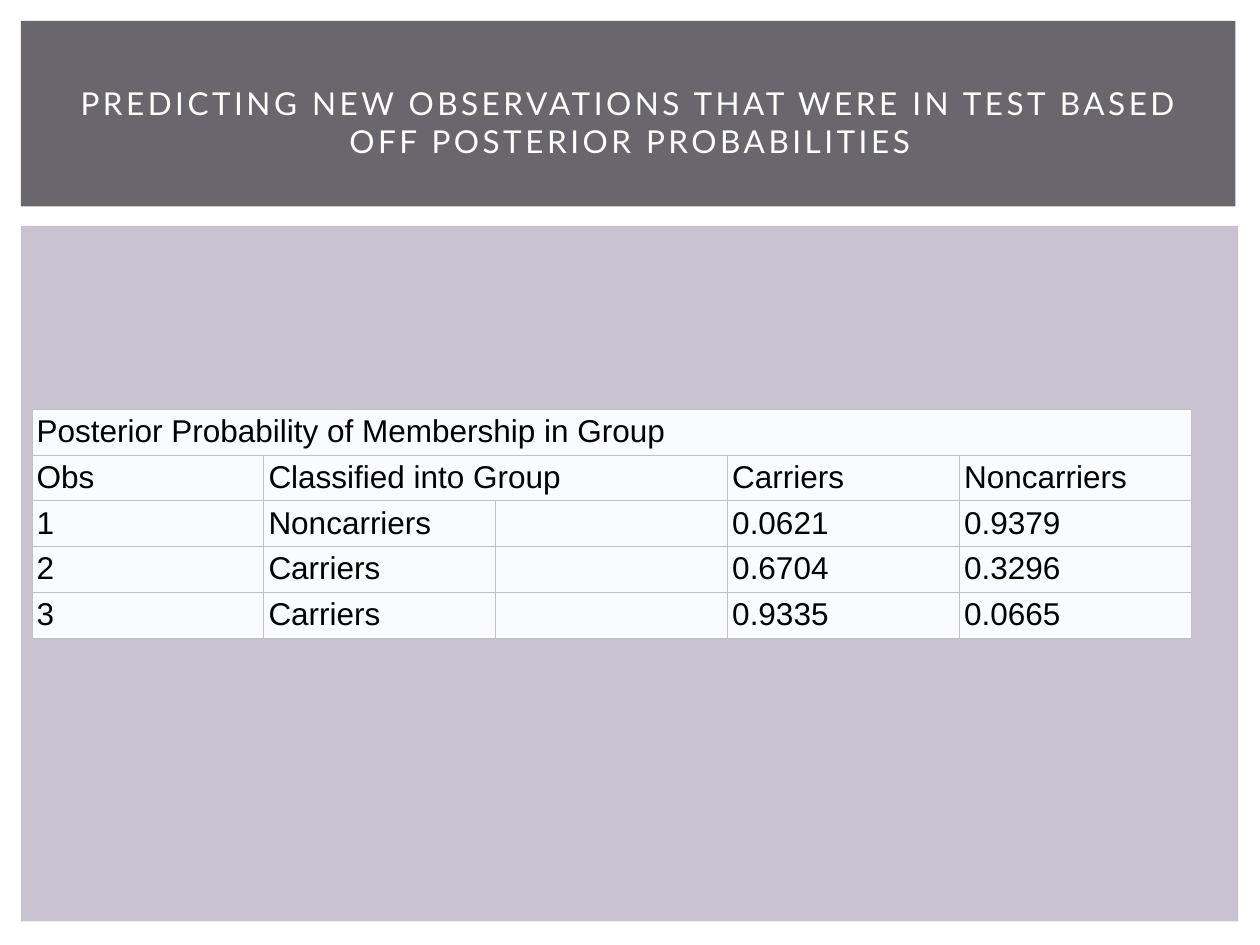
from lxml.etree import SubElement
from pptx import Presentation
from pptx.dml.color import RGBColor
from pptx.enum.shapes import MSO_SHAPE
from pptx.enum.text import MSO_ANCHOR, PP_ALIGN
from pptx.oxml.ns import qn
from pptx.util import Pt

COLORS = {
    "panel": "C9C2D1",
    "banner": "69676D",
    "cell": "FAFBFE",
    "border": "C1C1C1",
    "text": "000000",
    "title": "FFFFFF",
}
CELL_INSET = Pt(2.7)
COLUMN_WIDTH = Pt(132.5)
ROW_HEIGHT = Pt(26.2)


def style_font(paragraph, face, color):
    paragraph.font.name = face
    paragraph.font.size = Pt(18)
    paragraph.font.color.rgb = RGBColor.from_string(COLORS[color])


def add_borders(cell):
    properties = cell._tc.get_or_add_tcPr()
    for position, side in enumerate(("a:lnL", "a:lnR", "a:lnT", "a:lnB")):
        line = SubElement(properties, qn(side), w=str(Pt(0.6)))
        fill = SubElement(line, qn("a:solidFill"))
        SubElement(fill, qn("a:srgbClr"), val=COLORS["border"])
        properties.insert(position, line)  # borders come before the fill


prs = Presentation()
prs.slide_width, prs.slide_height = Pt(720), Pt(540)
slide = prs.slides.add_slide(prs.slide_layouts[6])

# Background blocks
for color, left, top, width, height in (
    ("panel", 12, 129, 695.5, 397.5),
    ("banner", 12, 12, 694, 106),
):
    block = slide.shapes.add_shape(
        MSO_SHAPE.RECTANGLE, Pt(left), Pt(top), Pt(width), Pt(height))
    block.shadow.inherit = False
    block.fill.solid()
    block.fill.fore_color.rgb = RGBColor.from_string(COLORS[color])
    block.line.fill.background()

# Posterior probabilities; None marks a cell covered by the merge to its left
rows = [
    ["Posterior Probability of Membership in Group", None, None, None, None],
    ["Obs", "Classified into Group", None, "Carriers", "Noncarriers"],
    ["1", "Noncarriers", "", "0.0621", "0.9379"],
    ["2", "Carriers", "", "0.6704", "0.3296"],
    ["3", "Carriers", "", "0.9335", "0.0665"],
]
probabilities = slide.shapes.add_table(
    len(rows), len(rows[0]), Pt(18.25), Pt(233.8),
    COLUMN_WIDTH * len(rows[0]), ROW_HEIGHT * len(rows)).table
probabilities.first_row = False
probabilities.horz_banding = False
for column in probabilities.columns:
    column.width = COLUMN_WIDTH
for row in probabilities.rows:
    row.height = ROW_HEIGHT

for r, values in enumerate(rows):
    for c, value in enumerate(values):
        cell = probabilities.cell(r, c)
        cell.fill.solid()
        cell.fill.fore_color.rgb = RGBColor.from_string(COLORS["cell"])
        cell.margin_left = cell.margin_right = CELL_INSET
        cell.margin_top = cell.margin_bottom = CELL_INSET
        add_borders(cell)
        cell.text = value or ""
        style_font(cell.text_frame.paragraphs[0], "Arial", "text")
probabilities.cell(0, 0).merge(probabilities.cell(0, 4))
probabilities.cell(1, 1).merge(probabilities.cell(1, 2))

# Title
title = slide.shapes.add_textbox(Pt(30), Pt(28), Pt(660), Pt(83)).text_frame
title.word_wrap = True
title.vertical_anchor = MSO_ANCHOR.MIDDLE
heading = title.paragraphs[0]
heading.alignment = PP_ALIGN.CENTER
heading_run = heading.add_run()
heading_run.text = ("PREDICTING NEW OBSERVATIONS THAT WERE IN TEST BASED "
                    "OFF POSTERIOR PROBABILITIES")
heading_run.font._element.set("spc", "200")  # letter spacing, 1/100 pt
style_font(heading, "Lato", "title")

prs.save("out.pptx")
